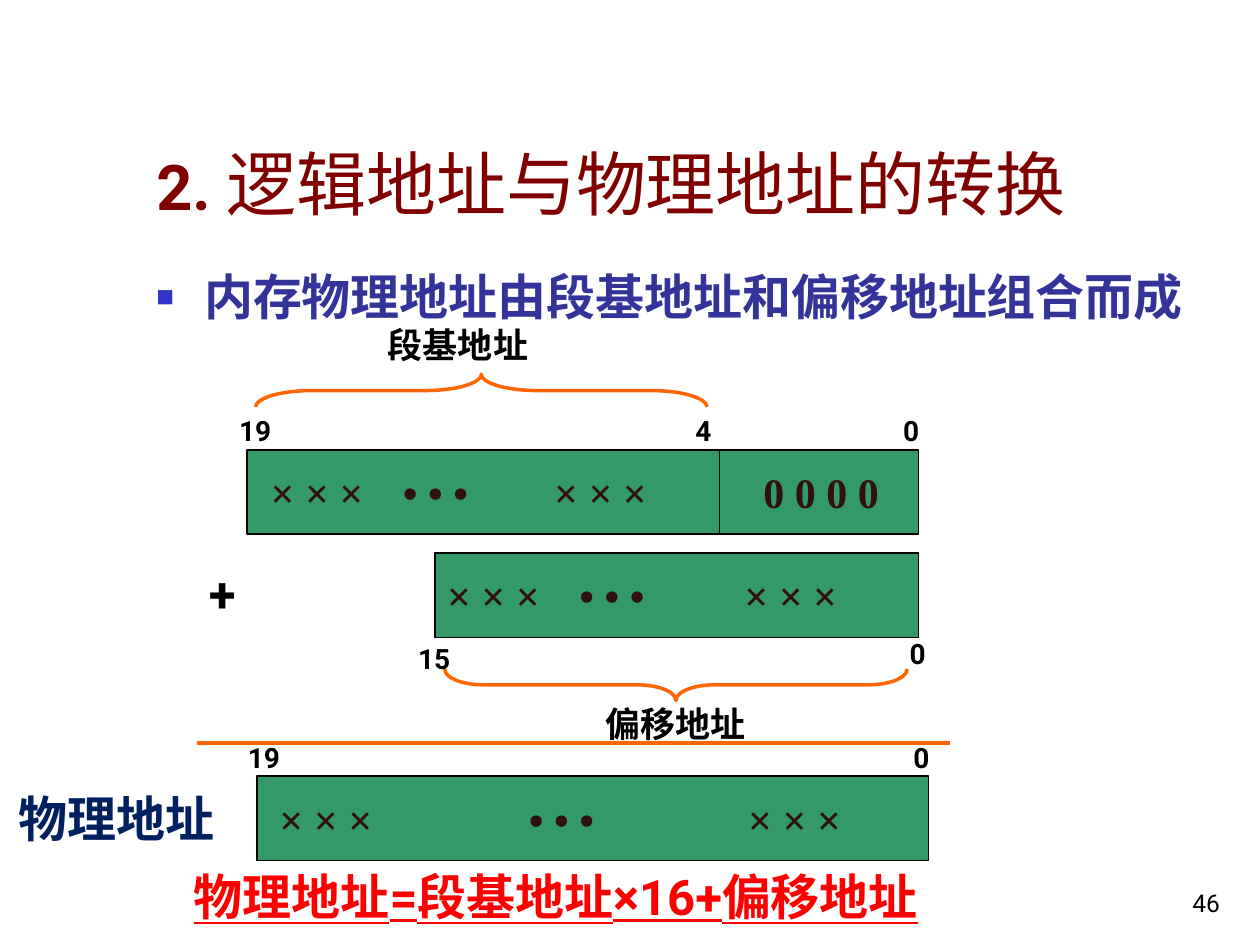
from lxml.etree import SubElement
from pptx import Presentation
from pptx.dml.color import RGBColor
from pptx.enum.shapes import MSO_CONNECTOR, MSO_SHAPE
from pptx.enum.text import MSO_ANCHOR, MSO_AUTO_SIZE, PP_ALIGN
from pptx.oxml.ns import qn
from pptx.util import Inches, Pt

BLACK = RGBColor(0x00, 0x00, 0x00)
MAROON = RGBColor(0x80, 0x00, 0x00)
INDIGO = RGBColor(0x33, 0x33, 0x99)
NAVY = RGBColor(0x00, 0x20, 0x60)
RED = RGBColor(0xFF, 0x00, 0x00)
GREEN = RGBColor(0x33, 0x99, 0x66)
ORANGE = RGBColor(0xFF, 0x66, 0x00)
BROWN = RGBColor(0x30, 0x10, 0x10)
SANS, SERIF = "Roboto", "Times New Roman"

# Content
TITLE_RUNS = [("2. ", 36, True), ("逻辑地址与物理地址的转换", 40, False)]
BULLET = "内存物理地址由段基地址和偏移地址组合而成"
BAR_HEIGHT = 0.67
BARS = [(1.96, 3.57, 5.33), (3.45, 4.39, 3.84), (2.04, 6.16, 5.33)]  # left, top, width
BRACES = [  # left, top, width, height, rotation, curvature
    (3.69, 1.31, 0.26, 3.58, 90, 1.72),
    (5.24, 3.60, 0.25, 3.67, 270, 1.22),
]
BITS = [  # text, left, top, width, tab stop
    ("0 0 0 0", 5.96, 3.65, 1.25, None),
    ("× × ×\t• • •", 2.05, 3.65, 2.33, 1.05),
    ("× × ×", 4.30, 3.65, 1.50, None),
    ("× × ×\t• • •", 3.45, 4.47, 2.33, 1.05),
    ("× × ×", 5.81, 4.47, 1.50, None),
    ("× × ×\t• • •", 2.12, 6.25, 3.84, 1.98),
    ("× × ×", 5.84, 6.25, 1.50, None),
]
BIT_NUMBERS = [  # text, left, top
    ("19", 1.80, 3.23), ("4", 5.42, 3.23), ("0", 7.07, 3.23),
    ("15", 3.22, 5.04), ("0", 7.12, 5.00),
    ("19", 1.87, 5.83), ("0", 7.15, 5.83),
]
PART_LABELS = [("段基地址", 2.98, 2.52), ("偏移地址", 4.71, 5.53)]
LARGE_LABELS = [  # text, left, top, width, colour, underline
    ("物理地址=段基地址×16+偏移地址", 1.44, 6.83, 6.54, RED, True),
    ("+", 1.56, 4.42, 0.55, BLACK, False),
    ("物理地址", 0.05, 6.21, 1.96, NAVY, False),
]


def place(shape, left, top, width, height):
    shape.left, shape.top = Inches(left), Inches(top)
    shape.width, shape.height = Inches(width), Inches(height)


def style(font, size, color, name=SANS, bold=True):
    font.size, font.name, font.bold = Pt(size), name, bold
    font.color.rgb = color


def add_label(text, left, top, width, height, size, color, name=SANS, tab=None, bold=True):
    box = slide.shapes.add_textbox(Inches(left), Inches(top), Inches(width), Inches(height))
    frame = box.text_frame
    frame.word_wrap = True
    frame.text = text
    paragraph = frame.paragraphs[0]
    if tab:
        tab_list = SubElement(paragraph._p.get_or_add_pPr(), qn("a:tabLst"))
        SubElement(tab_list, qn("a:tab"), pos=str(Inches(tab)), algn="l")
    for run in paragraph.runs:
        style(run.font, size, color, name, bold)
    return box


def add_line(start, end, color, width):
    points = [Inches(value) for value in (*start, *end)]
    line = slide.shapes.add_connector(MSO_CONNECTOR.STRAIGHT, *points)
    line.line.color.rgb, line.line.width = color, Pt(width)
    SubElement(line._element.spPr, qn("a:effectLst"))


def add_outline(kind, left, top, width, height, color, line_width):
    shape = slide.shapes.add_shape(
        kind, Inches(left), Inches(top), Inches(width), Inches(height))
    shape.shadow.inherit = False
    shape.line.color.rgb, shape.line.width = color, Pt(line_width)
    return shape


presentation = Presentation()
presentation.slide_width, presentation.slide_height = Inches(10), Inches(7.5)
slide = presentation.slides.add_slide(presentation.slide_layouts[1])

# Title
title = slide.shapes.title
place(title, 1.14, 0.68, 8.74, 1.15)
title.text_frame.auto_size = MSO_AUTO_SIZE.NONE
title.text_frame.vertical_anchor = MSO_ANCHOR.BOTTOM
paragraph = title.text_frame.paragraphs[0]
paragraph.alignment = PP_ALIGN.LEFT
for text, size, bold in TITLE_RUNS:
    run = paragraph.add_run()
    run.text = text
    style(run.font, size, MAROON, bold=bold)

# Bulleted statement
body = slide.placeholders[1]
place(body, 1.14, 2.02, 8.74, 0.71)
body.text_frame.auto_size = MSO_AUTO_SIZE.NONE
body.text_frame.text = BULLET
paragraph = body.text_frame.paragraphs[0]
paragraph.line_spacing, paragraph.space_before = 1.1, Pt(0)
properties = paragraph._p.get_or_add_pPr()
properties.set("marL", str(Inches(0.38)))
properties.set("indent", str(Inches(-0.38)))
bullet_color = SubElement(properties, qn("a:buClr"))
SubElement(bullet_color, qn("a:srgbClr"), val="3333CC")
SubElement(properties, qn("a:buSzPct"), val="60000")
SubElement(properties, qn("a:buChar"), char="■")
style(paragraph.runs[0].font, 28, INDIGO)

# Address bars and the divider before the four zero bits
for left, top, width in BARS:
    bar = add_outline(MSO_SHAPE.RECTANGLE, left, top, width, BAR_HEIGHT, BLACK, 1)
    bar.fill.solid()
    bar.fill.fore_color.rgb = GREEN
add_line((5.71, 3.57), (5.71, 3.57 + BAR_HEIGHT), BLACK, 1)

# Braces and sum line
for left, top, width, height, rotation, curvature in BRACES:
    brace = add_outline(MSO_SHAPE.LEFT_BRACE, left, top, width, height, ORANGE, 2)
    brace.fill.background()
    brace.rotation = rotation
    brace.adjustments[0] = curvature
add_line((1.56, 5.9), (7.54, 5.9), ORANGE, 2.25)

# Labels
for text, left, top, width, tab in BITS:
    add_label(text, left, top, width, 0.5, 24, BROWN, SERIF, tab)
for text, left, top in BIT_NUMBERS:
    add_label(text, left, top, 0.63 if len(text) == 2 else 0.39, 0.37, 16, BLACK)
for text, left, top in PART_LABELS:
    add_label(text, left, top, 1.58, 0.44, 20, BLACK, SERIF)
for text, left, top, width, color, underline in LARGE_LABELS:
    label = add_label(text, left, top, width, 0.57, 28, color)
    label.text_frame.paragraphs[0].runs[0].font.underline = underline

# Page number
number = add_label("46", 7.7, 6.83, 2.08, 0.5, 14, BLACK, bold=False)
number.text_frame.vertical_anchor = MSO_ANCHOR.BOTTOM
number.text_frame.paragraphs[0].alignment = PP_ALIGN.RIGHT

presentation.save("out.pptx")
